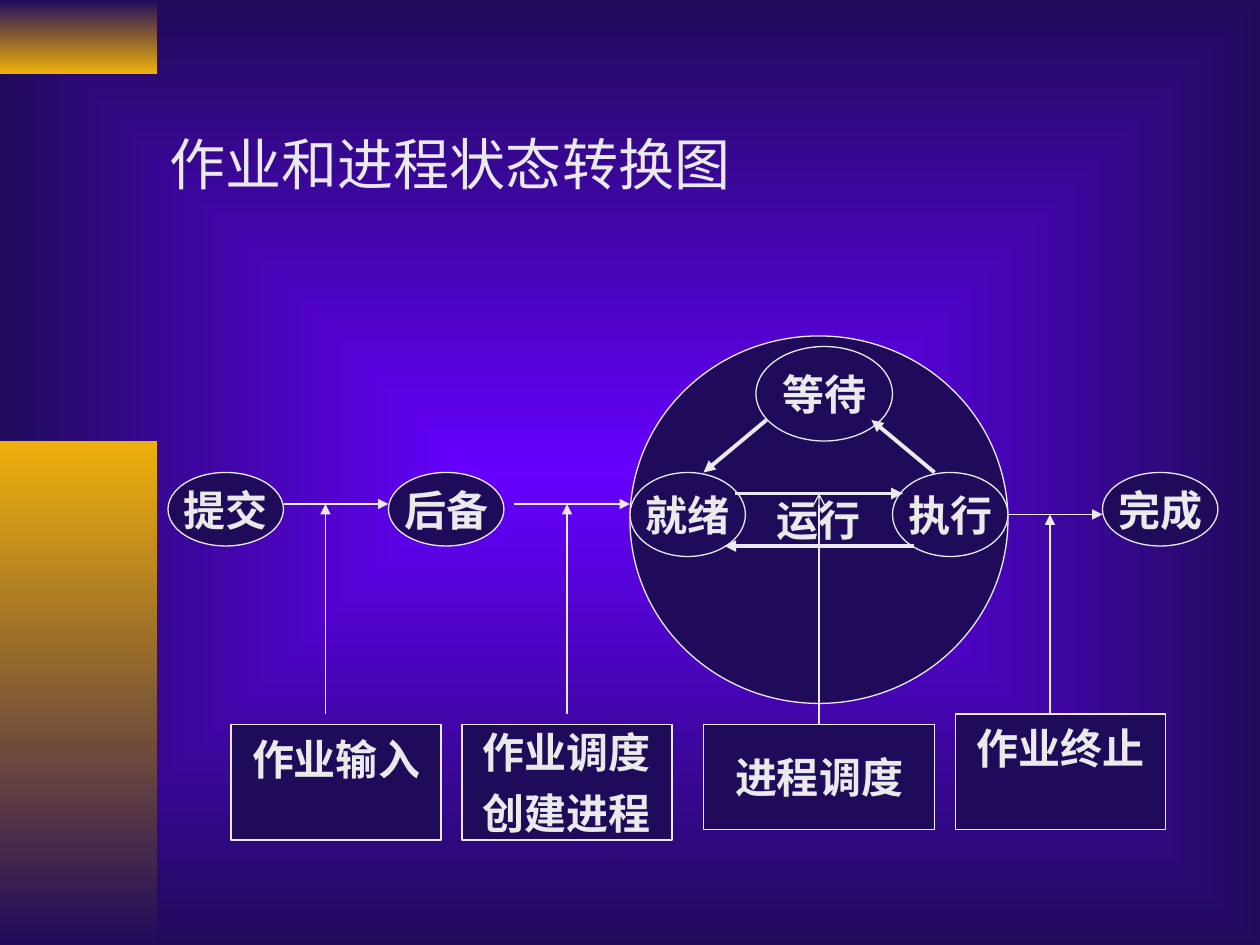
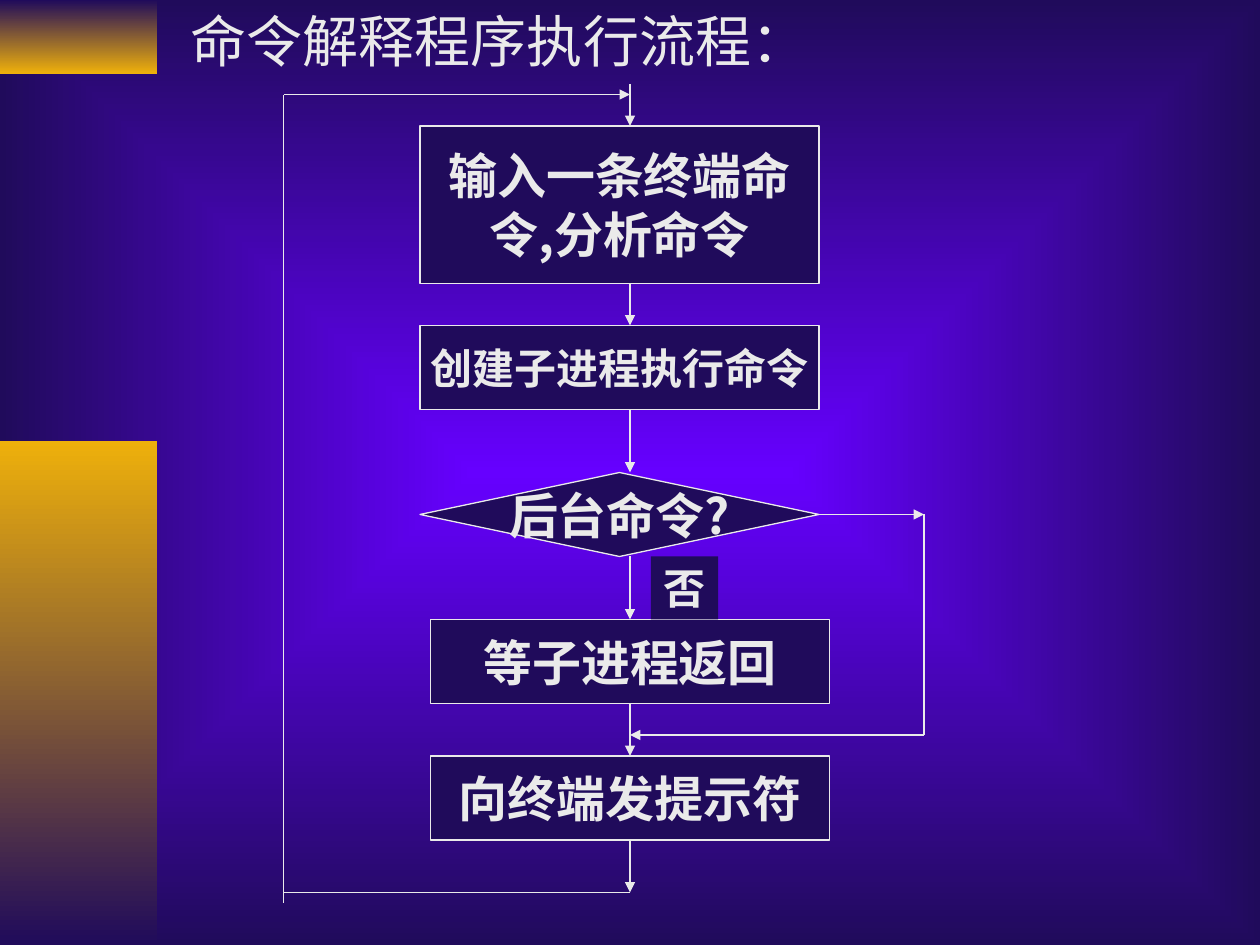
from lxml import etree
from pptx import Presentation
from pptx.dml.color import RGBColor
from pptx.enum import shapes, text
from pptx.oxml import parse_xml
from pptx.oxml.ns import qn
from pptx.util import Cm, Pt

NIGHT = RGBColor(0x20, 0x0B, 0x5B)
VIOLET = RGBColor(0x66, 0x00, 0xFF)
GOLD = RGBColor(0xEE, 0xB0, 0x0B)
PALE = RGBColor(0xEA, 0xEA, 0xEA)
LATO, TIMES, NOTO = "Lato", "Times New Roman", "Noto Sans CJK SC"
RECTANGLE = shapes.MSO_SHAPE.RECTANGLE
OVAL = shapes.MSO_SHAPE.OVAL
DECISION = shapes.MSO_SHAPE.FLOWCHART_DECISION
MIDDLE, TOP = text.MSO_ANCHOR.MIDDLE, text.MSO_ANCHOR.TOP
CENTER, LEFT = text.PP_ALIGN.CENTER, text.PP_ALIGN.LEFT
DRAWING = "http://schemas.openxmlformats.org/drawingml/2006/main"


def grid(*steps):
    """Lengths on a grid of twelve steps to the inch."""
    return [Cm(step * 2.54 / 12) for step in steps]


def blend(fill, first, last):
    fill.gradient()
    for stop, color in zip(fill.gradient_stops, (first, last)):
        stop.color.rgb = color


class FlowDeck:
    def __init__(self):
        self.deck = Presentation()
        self.deck.slide_width, self.deck.slide_height = Cm(25.4), Cm(19.05)
        # Background glowing from the centre, shared by all slides
        master = self.deck.slide_master
        blend(master.background.fill, VIOLET, NIGHT)
        gradient = master.element.find(".//" + qn("p:bg")).find(".//" + qn("a:gradFill"))
        gradient.replace(gradient.find(qn("a:lin")), parse_xml(
            f'<a:path xmlns:a="{DRAWING}" path="rect">'
            '<a:fillToRect l="50000" t="50000" r="50000" b="50000"/></a:path>'))

    def start_page(self, title, area, anchor):
        self.page = self.deck.slides.add_slide(self.deck.slide_layouts[5])
        self.sides = {}
        self.band((0, 0, 15, 7), NIGHT, GOLD)
        self.band((0, 42, 15, 48), GOLD, NIGHT)
        box = self.page.shapes.title
        box.left, box.top, box.width, box.height = grid(*area)
        self.letter(box, title, 32, TIMES, bold=False, anchor=anchor, align=LEFT)

    def band(self, area, first, last):
        box = self.page.shapes.add_shape(RECTANGLE, *grid(*area))
        box.shadow.inherit = False
        blend(box.fill, first, last)
        box.fill.gradient_angle = 270
        box.line.fill.background()

    def letter(self, box, words, size, font, bold=True, anchor=MIDDLE, align=CENTER,
               inset=0.13, gap=0):
        frame = box.text_frame
        frame.text = words
        frame.auto_size = text.MSO_AUTO_SIZE.NONE
        frame.word_wrap = False
        frame.vertical_anchor = anchor
        frame.margin_left = frame.margin_right = Cm(0.25)
        frame.margin_top, frame.margin_bottom = Cm(inset), Cm(0.13)
        for number, para in enumerate(frame.paragraphs):
            para.alignment = align
            para.space_before = Pt(gap if number else 0)
            for span in para.runs:
                span.font.name, span.font.size, span.font.bold = font, Pt(size), bold
                span.font.color.rgb = PALE

    def node(self, kind, area, words, size=24, font=LATO, outlined=True, **style):
        box = self.page.shapes.add_shape(kind, *grid(*area))
        box.shadow.inherit = False
        box.fill.solid()
        box.fill.fore_color.rgb = NIGHT
        if outlined:
            box.line.color.rgb = PALE
            box.line.width = Pt(0.75)
        else:
            box.line.fill.background()
        self.letter(box, words, size, font, **style)
        # Remember the middles of the sides, so that lines can join there
        if kind != OVAL:
            left, top, width, height = area
            middle, centre = left + width / 2, top + height / 2
            for site, point in enumerate([(middle, top), (left, centre),
                                          (middle, top + height), (left + width, centre)]):
                self.sides[point] = box, site

    def line(self, start, end, head="triangle", width=0.75):
        link = self.page.shapes.add_connector(
            shapes.MSO_CONNECTOR.STRAIGHT, *grid(*start, *end))
        link.line.color.rgb = PALE
        link.line.width = Pt(width)
        properties = link.element.spPr
        if head:
            etree.SubElement(properties.find(qn("a:ln")), qn("a:tailEnd"), type=head)
        etree.SubElement(properties, qn("a:effectLst"))
        if start in self.sides:
            link.begin_connect(*self.sides[start])
        if end in self.sides:
            link.end_connect(*self.sides[end])


def job_states(flow):
    flow.start_page("作业和进程状态转换图", (15, 8, 96, 15), MIDDLE)

    # Job states
    for left, words in ((16, "提交"), (37, "后备"), (105, "完成")):
        flow.node(OVAL, (left, 45, 11, 7), words)
    flow.node(OVAL, (60, 32, 36, 35), "运行")

    # Actions
    flow.node(RECTANGLE, (22, 69, 20, 11), "作业输入", anchor=TOP, inset=0.18)
    flow.node(RECTANGLE, (44, 69, 20, 11), "作业调度\n创建进程", gap=6)
    flow.node(RECTANGLE, (91, 68, 20, 11), "作业终止", anchor=TOP, inset=0.18)
    flow.node(RECTANGLE, (67, 69, 22, 10), "进程调度", font=TIMES)

    # Job transitions and the actions behind them
    for left, right, height in ((27, 37, 48), (49, 60, 48), (96, 105, 49)):
        flow.line((left, height), (right, height))
    for across, height in ((31, 48), (54, 48), (100, 49)):
        flow.line((across, 68), (across, height))

    # Process states inside the running job
    for area, words in (((60, 45, 11, 8), "就绪"), ((85, 45, 11, 8), "执行"),
                        ((72, 33, 13, 9), "等待")):
        flow.node(OVAL, area, words, font=TIMES)
    for start, end in (((70, 47), (86, 47)), ((87, 52), (69, 52)),
                       ((89, 45), (83, 40)), ((73, 40), (67, 45))):
        flow.line(start, end, width=2.25)
    flow.line((78, 69), (78, 47), head="arrow")


def command_flow(flow):
    flow.start_page("命令解释程序执行流程：", (17, 0, 61, 7.7), TOP)

    # Steps
    for kind, left, top, height, words, size in (
            (RECTANGLE, 40, 12, 15, "输入一条终端命\n令,分析命令", 28),
            (RECTANGLE, 40, 31, 8, "创建子进程执行命令", 24),
            (DECISION, 40, 45, 8, "后台命令?", 28),
            (RECTANGLE, 41, 59, 8, "等子进程返回", 28),
            (RECTANGLE, 41, 72, 8, "向终端发提示符", 28)):
        flow.node(kind, (left, top, 38, height), words, size, NOTO)

    # Downward path
    for top, bottom in ((8, 12), (27, 31), (39, 45), (53, 59), (67, 72), (80, 85)):
        flow.line((60, top), (60, bottom))

    # Loop back to the first step
    flow.line((60, 85), (27, 85), head=None)
    flow.line((27, 86), (27, 9), head=None)
    flow.line((27, 9), (60, 9))

    # Bypass for background commands
    flow.line((78, 49), (88, 49))
    flow.line((88, 49), (88, 70), head=None)
    flow.line((88, 70), (60, 70))
    flow.node(RECTANGLE, (62, 53, 6.4, 6), "否", font=NOTO, outlined=False,
              anchor=TOP, align=LEFT)


def main():
    flow = FlowDeck()
    job_states(flow)
    command_flow(flow)
    flow.deck.save("out.pptx")


if __name__ == "__main__":
    main()
